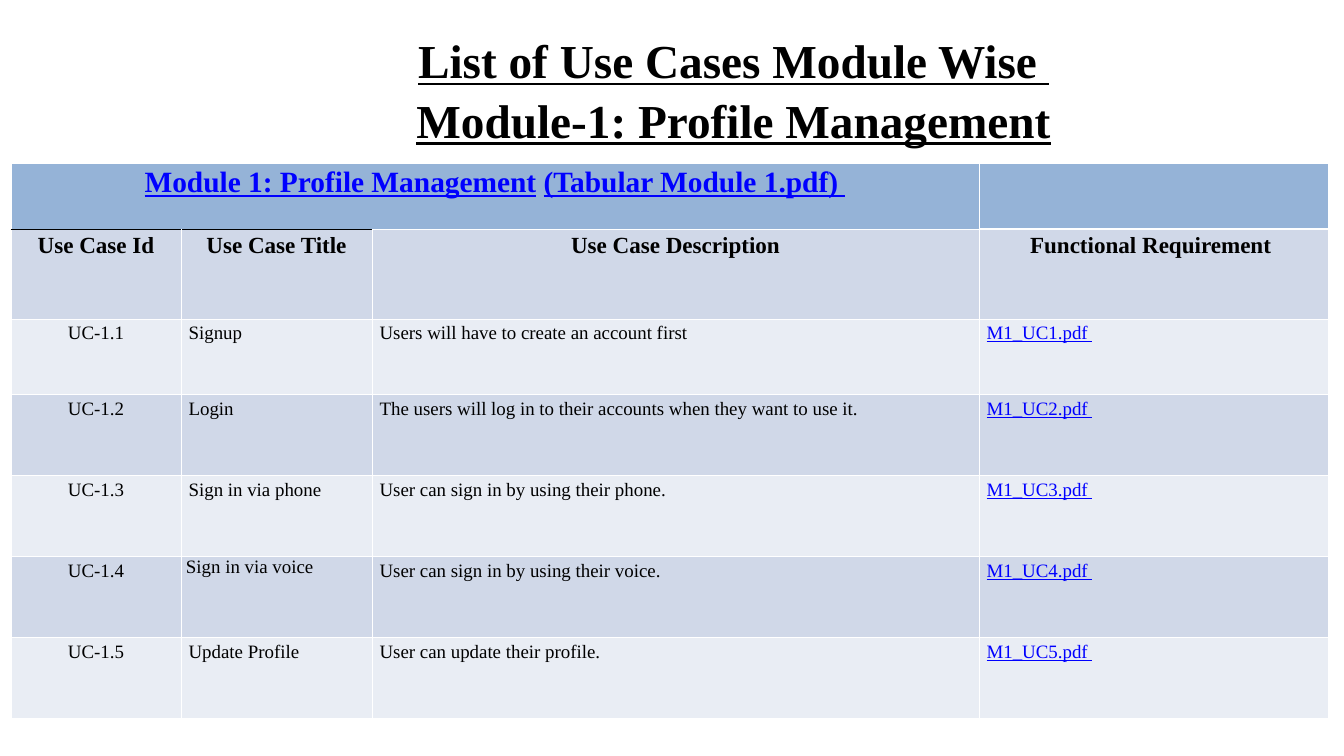
from dataclasses import dataclass

from lxml import etree
from pptx import Presentation
from pptx.dml.color import RGBColor
from pptx.enum.text import MSO_ANCHOR, MSO_AUTO_SIZE, PP_ALIGN
from pptx.oxml.ns import qn
from pptx.util import Pt

PX = 12095  # EMU per px
LEFT, CENTER, JUSTIFY = PP_ALIGN.LEFT, PP_ALIGN.CENTER, PP_ALIGN.JUSTIFY
TITLE_ONLY = 5


@dataclass(frozen=True)
class Theme:
    font: str = "Times New Roman"
    ink: str = "000000"
    link: str = "0000FF"
    line: str = "FFFFFF"
    banner: str = "95B3D7"
    bands: tuple = ("D0D8E8", "E9EDF4")
    title_size: int = 45
    banner_size: int = 28
    heading_size: int = 22
    body_size: int = 18


THEME = Theme()

TITLE = "List of Use Cases Module Wise \vModule-1: Profile Management"
BANNER = ("Module 1: Profile Management", " ", "(Tabular Module 1.pdf) ")
HEADINGS = ("Use Case Id", "Use Case Title", "Use Case Description",
            "Functional Requirement ")
USE_CASES = (
    ("Signup", "Users will have to create an account first"),
    ("Login", "The users will log in to their accounts when they want to use it. "),
    ("Sign in via phone", "User can sign in by using their phone."),
    ("Sign in via voice", "User can sign in by using their voice."),
    ("Update Profile", "User can update their profile."),
)
COLUMN_WIDTHS = (170, 191, 607, 349)
ROW_HEIGHTS = (66, 90, 76, 81, 81, 81, 81)
BODY_ALIGNMENTS = (CENTER, LEFT, JUSTIFY, JUSTIFY)
TIGHT_TITLE = "Sign in via voice"


def px(*lengths):
    return [length * PX for length in lengths]


def style_run(run, size, color=THEME.ink, bold=False, underline=False):
    font = run.font
    font.name, font.size = THEME.font, Pt(size)
    font.bold, font.underline = bold, underline
    font.color.rgb = RGBColor.from_string(color)


def style_cell(cell, fill, top=(THEME.line, 1), bottom=(THEME.line, 1)):
    """Give the cell its four borders, each a (colour, points) pair, and its fill."""
    properties = cell._tc.get_or_add_tcPr()
    side = (THEME.line, 1)
    for tag, (color, width) in zip(("a:lnL", "a:lnR", "a:lnT", "a:lnB"),
                                   (side, side, top, bottom)):
        line = etree.SubElement(properties, qn(tag), w=str(Pt(width)))
        solid = etree.SubElement(line, qn("a:solidFill"))
        etree.SubElement(solid, qn("a:srgbClr"), val=color)
    cell.fill.solid()
    cell.fill.fore_color.rgb = RGBColor.from_string(fill)


def write_cell(cell, text, alignment, size, **run_style):
    paragraph = cell.text_frame.paragraphs[0]
    paragraph.text = text
    paragraph.alignment = alignment
    style_run(paragraph.runs[0], size, **run_style)


def add_title(slide, left, top, width, height):
    title = slide.shapes.title
    title.left, title.top, title.width, title.height = px(left, top, width, height)
    frame = title.text_frame
    frame.text = TITLE
    frame.word_wrap = True
    frame.auto_size = MSO_AUTO_SIZE.NONE
    frame.vertical_anchor = MSO_ANCHOR.TOP
    paragraph = frame.paragraphs[0]
    paragraph.alignment = CENTER
    paragraph.line_spacing = 1.05
    for run in paragraph.runs:
        style_run(run, THEME.title_size, bold=True, underline=True)


def fill_banner(table):
    for column in range(len(HEADINGS)):
        bottom = ((THEME.ink, 1) if column < 2 else
                  (THEME.line, 1) if column == 2 else (THEME.line, 3))
        style_cell(table.cell(0, column), THEME.banner, bottom=bottom)
    banner = table.cell(0, 0)
    banner.merge(table.cell(0, 2))
    paragraph = banner.text_frame.paragraphs[0]
    paragraph.alignment = CENTER
    for text in BANNER:
        run = paragraph.add_run()
        run.text = text
        is_link = bool(text.strip())
        style_run(run, THEME.banner_size, THEME.link if is_link else THEME.ink,
                  bold=True, underline=is_link)


def fill_headings(table):
    tops = ((THEME.ink, 1), (THEME.ink, 1), (THEME.line, 1), (THEME.line, 3))
    for column, (heading, top) in enumerate(zip(HEADINGS, tops)):
        cell = table.cell(1, column)
        style_cell(cell, THEME.bands[0], top=top)
        write_cell(cell, heading, CENTER, THEME.heading_size, bold=True)


def fill_use_cases(table):
    for number, (name, description) in enumerate(USE_CASES, start=1):
        texts = (f"UC-1.{number}", name, description, f"M1_UC{number}.pdf ")
        for column, (text, alignment) in enumerate(zip(texts, BODY_ALIGNMENTS)):
            cell = table.cell(number + 1, column)
            style_cell(cell, THEME.bands[number % 2])
            is_link = column == 3
            write_cell(cell, text, alignment, THEME.body_size,
                       color=THEME.link if is_link else THEME.ink, underline=is_link)
            if text == TIGHT_TITLE:
                cell.margin_left, cell.margin_right = px(5, 5)
                cell.margin_top = cell.margin_bottom = 0


def add_use_case_table(slide, left, top):
    box = px(left, top, sum(COLUMN_WIDTHS), sum(ROW_HEIGHTS))
    table = slide.shapes.add_table(len(ROW_HEIGHTS), len(COLUMN_WIDTHS), *box).table
    for column, width in zip(table.columns, px(*COLUMN_WIDTHS)):
        column.width = width
    for row, height in zip(table.rows, px(*ROW_HEIGHTS)):
        row.height = height
    fill_banner(table)
    fill_headings(table)
    fill_use_cases(table)


def main():
    presentation = Presentation()
    presentation.slide_width, presentation.slide_height = px(1344, 756)
    slide = presentation.slides.add_slide(presentation.slide_layouts[TITLE_ONLY])
    add_title(slide, 222, 25, 1023, 95)
    add_use_case_table(slide, 11, 163)
    presentation.save("out.pptx")


if __name__ == "__main__":
    main()
